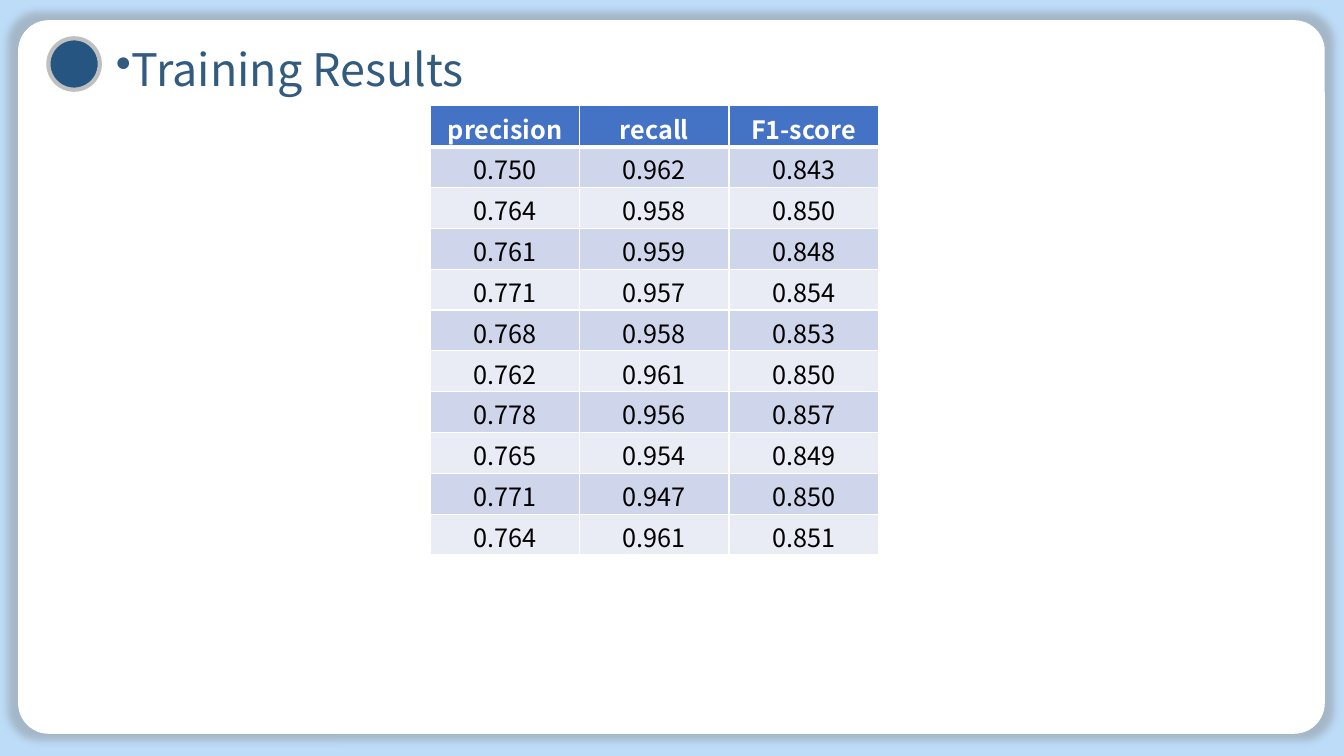
from lxml import etree
from pptx import Presentation
from pptx.dml.color import RGBColor as RGB
from pptx.enum.shapes import MSO_SHAPE as SHAPE
from pptx.enum.text import MSO_ANCHOR as ANCHOR, MSO_AUTO_SIZE as FIT, PP_ALIGN as ALIGN
from pptx.oxml import parse_xml
from pptx.oxml.ns import nsdecls, qn
from pptx.util import Inches, Pt

COLORS = {
    "sky": "BDDCF8", "white": "FFFFFF", "black": "000000", "shadow": "808080",
    "title": "325B7F", "dot": "255580", "ring": "BFBFBF",
    "header": "4472C4", "odd": "CFD5EA", "even": "E9EBF5",
}
FONT = "Noto Sans CJK SC"
SCORES = [
    ("precision", "recall", "F1-score"),
    ("0.750", "0.962", "0.843"),
    ("0.764", "0.958", "0.850"),
    ("0.761", "0.959", "0.848"),
    ("0.771", "0.957", "0.854"),
    ("0.768", "0.958", "0.853"),
    ("0.762", "0.961", "0.850"),
    ("0.778", "0.956", "0.857"),
    ("0.765", "0.954", "0.849"),
    ("0.771", "0.947", "0.850"),
    ("0.764", "0.961", "0.851"),
]


def write(frame, text, size=18, color="black", bold=False, align=ALIGN.CENTER):
    paragraph = frame.paragraphs[0]
    paragraph.alignment = align
    paragraph.line_spacing = 1.0
    run = paragraph.add_run()
    run.text = text
    run.font.name = FONT
    run.font.size = Pt(size)
    run.font.bold = bold
    run.font.color.rgb = RGB.from_string(COLORS[color])
    props = run.font._element
    etree.SubElement(props, qn("a:ea"), typeface=FONT)
    return paragraph


prs = Presentation()
prs.slide_width, prs.slide_height = Inches(13.33), Inches(7.5)
slide = prs.slides.add_slide(prs.slide_layouts[5])
slide.background.fill.solid()
slide.background.fill.fore_color.rgb = RGB.from_string(COLORS["sky"])

panel = slide.shapes.add_shape(
    SHAPE.ROUNDED_RECTANGLE, Inches(0.18), Inches(0.2), Inches(12.96), Inches(7.08))
panel.adjustments[0] = 0.043
panel.fill.solid()
panel.fill.fore_color.rgb = RGB.from_string(COLORS["white"])
panel.line.fill.background()
panel.element.spPr.append(parse_xml(
    f'<a:effectLst {nsdecls("a")}><a:outerShdw blurRad="63500" sx="101500" sy="102000"'
    f' algn="ctr" rotWithShape="0"><a:srgbClr val="{COLORS["shadow"]}">'
    '<a:alpha val="40000"/></a:srgbClr></a:outerShdw></a:effectLst>'))

scores = slide.shapes.add_table(
    len(SCORES), len(SCORES[0]), Inches(4.27), Inches(1.05), Inches(4.44), Inches(4.46)).table
for row, values in enumerate(SCORES):
    band = "header" if row == 0 else "odd" if row % 2 else "even"
    for column, value in enumerate(values):
        cell = scores.cell(row, column)
        cell.margin_top, cell.margin_bottom = Inches(0.04), 0
        write(cell.text_frame, value, bold=row == 0, color="black" if row else "white")
        props = cell._tc.get_or_add_tcPr()
        for side in "LRTB":
            thick = (row, side) in [(0, "B"), (1, "T")]
            props.append(parse_xml(
                f'<a:ln{side} {nsdecls("a")} w="{Pt(3 if thick else 1)}"><a:solidFill>'
                f'<a:srgbClr val="{COLORS["white"]}"/></a:solidFill></a:ln{side}>'))
        cell.fill.solid()
        cell.fill.fore_color.rgb = RGB.from_string(COLORS[band])

heading = slide.shapes.title
heading.left, heading.top = Inches(1.02), Inches(0.35)
heading.width, heading.height = Inches(8.7), Inches(0.67)
frame = heading.text_frame
frame.word_wrap = True
frame.auto_size = FIT.NONE
frame.vertical_anchor = ANCHOR.MIDDLE
frame.margin_left = frame.margin_right = Inches(0.13)
frame.margin_top = frame.margin_bottom = Inches(0.07)
title = write(frame, "Training Results", size=32, color="title", align=ALIGN.LEFT)
bullet = title._p.get_or_add_pPr()
bullet.set("marL", "0")
bullet.set("indent", "0")
etree.SubElement(bullet, qn("a:buChar"), char="•")
slide.shapes.element.append(heading.element)

dot = slide.shapes.add_shape(
    SHAPE.OVAL, Inches(0.48), Inches(0.38), Inches(0.51), Inches(0.51))
dot.shadow.inherit = False
dot.fill.solid()
dot.fill.fore_color.rgb = RGB.from_string(COLORS["dot"])
dot.line.color.rgb = RGB.from_string(COLORS["ring"])
dot.line.width = Pt(3)

prs.save("out.pptx")
